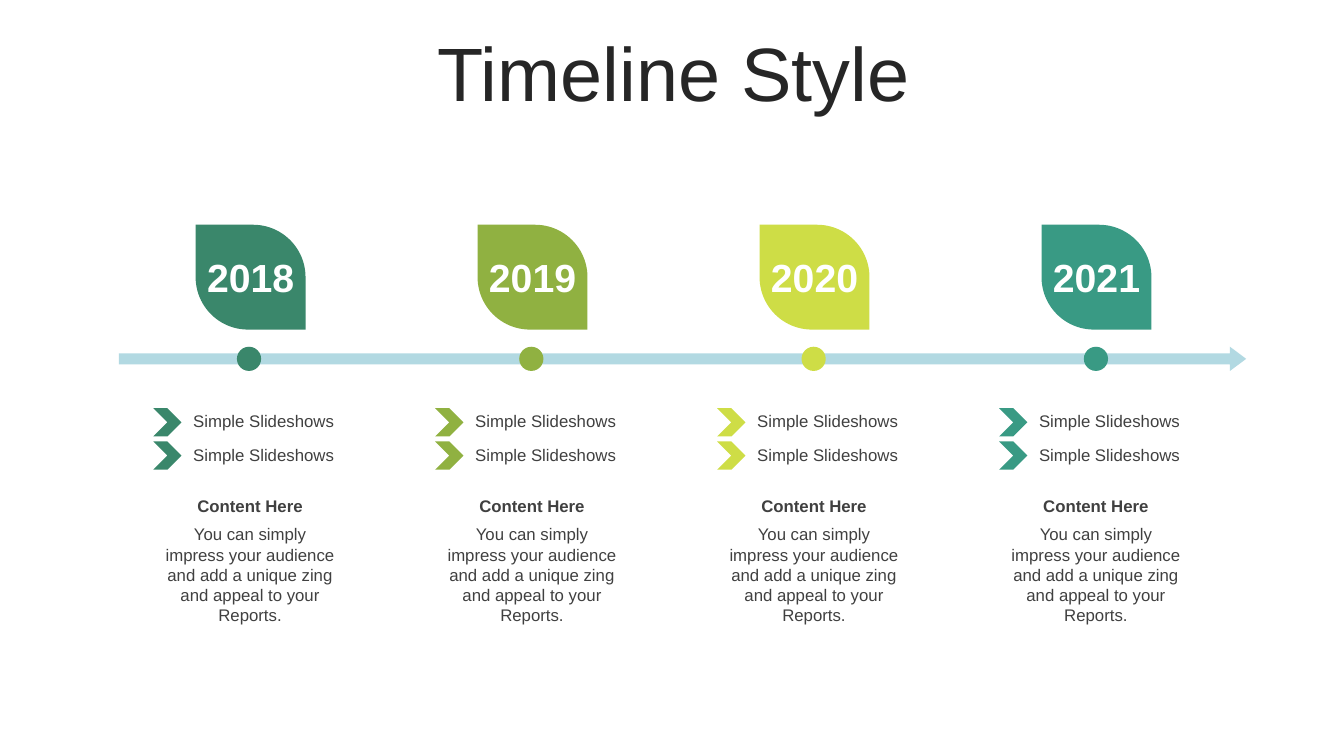
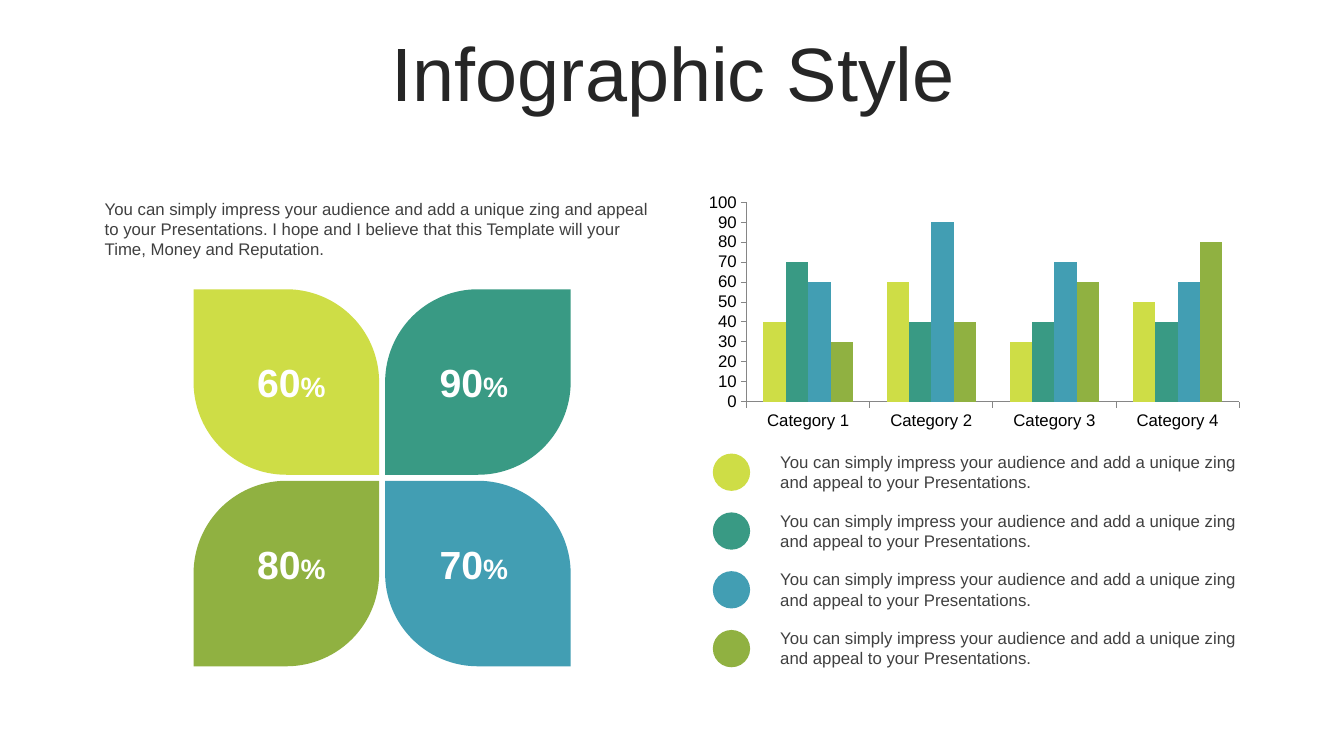
from dataclasses import dataclass

from pptx import Presentation
from pptx.chart.data import CategoryChartData
from pptx.dml.color import RGBColor
from pptx.enum import chart as ec, shapes, text
from pptx.util import Inches, Pt


# Theme
@dataclass(frozen=True)
class Theme:
    font: str = "Arial"
    title: str = "262626"
    body: str = "404040"
    white: str = "FFFFFF"
    black: str = "000000"
    axis: str = "868686"
    arrow: str = "B2D9E2"
    forest: str = "3A876B"
    olive: str = "90B141"
    lime: str = "CEDD46"
    teal: str = "399A84"
    blue: str = "429EB3"
    title_pt: int = 54
    figure_pt: int = 28
    percent_pt: int = 20
    body_pt: int = 12


T = Theme()
SHAPE = shapes.MSO_SHAPE
CENTER, LEFT = text.PP_ALIGN.CENTER, text.PP_ALIGN.LEFT
TOP, MIDDLE = text.MSO_ANCHOR.TOP, text.MSO_ANCHOR.MIDDLE

# Content
YEARS = [("2018", T.forest), ("2019", T.olive), ("2020", T.lime), ("2021", T.teal)]
POINTS = ["Simple Slideshows", "Simple Slideshows"]
HEADING = "Content Here"
YEAR_TEXT = ("You can simply impress your audience and add a unique zing "
             "and appeal to your Reports.")

INTRO = ("You can simply impress your audience and add a unique zing and appeal "
         "to your Presentations. I hope and I believe that this Template will "
         "your Time, Money and Reputation.")
# Share, colour, column, row
PETALS = [("60", T.lime, 0, 0), ("90", T.teal, 1, 0),
          ("80", T.olive, 0, 1), ("70", T.blue, 1, 1)]
CATEGORIES = ["Category 1", "Category 2", "Category 3", "Category 4"]
LEGEND_TEXT = ("You can simply impress your audience and add a unique zing "
               "and appeal to your Presentations.")
SERIES = [("Series 1", T.lime, (40, 60, 30, 50)),
          ("Series 2", T.teal, (70, 40, 40, 40)),
          ("Series 3", T.blue, (60, 90, 70, 60)),
          ("Series 4", T.olive, (30, 40, 60, 80))]


# Helpers
def rgb(value):
    return RGBColor.from_string(value)


def box(x, y, w, h):
    return Inches(x), Inches(y), Inches(w), Inches(h)


def set_font(font, size, color, bold=False):
    font.name, font.size, font.bold = T.font, Pt(size), bold
    font.color.rgb = rgb(color)


def add_shape(slide, kind, at, color, adjustments=()):
    sp = slide.shapes.add_shape(kind, *box(*at))
    sp.shadow.inherit = False
    sp.fill.solid()
    sp.fill.fore_color.rgb = rgb(color)
    sp.line.fill.background()
    for i, value in enumerate(adjustments):
        sp.adjustments[i] = value
    return sp


def add_text(slide, content, at, size=T.body_pt, color=T.body, bold=False,
             align=CENTER, anchor=TOP):
    tf = slide.shapes.add_textbox(*box(*at)).text_frame
    tf.word_wrap = True
    tf.vertical_anchor = anchor
    p = tf.paragraphs[0]
    p.text, p.alignment = content, align
    set_font(p.font, size, color, bold)
    return p


def add_slide(prs, title):
    slide = prs.slides.add_slide(prs.slide_layouts.get_by_name("Title Only"))
    sp = slide.shapes.title
    sp.left, sp.top, sp.width, sp.height = box(0.35, 0.37, 12.66, 0.79)
    tf = sp.text_frame
    tf.text = title
    tf.auto_size = text.MSO_AUTO_SIZE.NONE
    tf.vertical_anchor = MIDDLE
    p = tf.paragraphs[0]
    p.alignment, p.line_spacing = CENTER, 0.9
    set_font(p.font, T.title_pt, T.title)
    return slide


# Timeline slide
def build_timeline(prs):
    slide = add_slide(prs, "Timeline Style")
    column_pitch, dot_pitch, point_pitch = 8.39 / 3, 2.8, 0.33
    add_shape(slide, SHAPE.RIGHT_ARROW, (1.18, 3.44, 11.18, 0.24), T.arrow,
              (0.45, 0.67))
    for i, (year, color) in enumerate(YEARS):
        x = i * column_pitch
        # Year leaf and its dot on the arrow
        leaf = add_shape(slide, SHAPE.ROUND_2_DIAG_RECTANGLE,
                         (1.94 + x, 2.23, 1.09, 1.04), color, (0, 0.5))
        tf = leaf.text_frame
        tf.word_wrap = False
        tf.vertical_anchor = MIDDLE
        p = tf.paragraphs[0]
        p.text, p.alignment = year, CENTER
        set_font(p.font, T.figure_pt, T.white, True)
        add_shape(slide, SHAPE.OVAL, (2.35 + i * dot_pitch, 3.44, 0.24, 0.24), color)
        # Points marked by chevrons
        for j, point in enumerate(POINTS):
            y = j * point_pitch
            add_shape(slide, SHAPE.CHEVRON, (1.52 + x, 4.05 + y, 0.28, 0.28), color)
            add_text(slide, point, (1.79 + x, 4.03 + y, 1.65, 0.3))
        # Heading and description
        add_text(slide, HEADING, (1.54 + x, 4.87, 1.88, 0.3), bold=True, anchor=MIDDLE)
        add_text(slide, YEAR_TEXT, (1.54 + x, 5.15, 1.88, 1.11))


# Infographic slide
def add_column_chart(slide):
    data = CategoryChartData()
    data.categories = CATEGORIES
    for name, _, values in SERIES:
        data.add_series(name, values)
    chart = slide.shapes.add_chart(ec.XL_CHART_TYPE.COLUMN_CLUSTERED,
                                   *box(6.92, 1.87, 5.48, 2.44), data).chart
    chart.has_legend = chart.has_title = False
    set_font(chart.font, T.body_pt, T.black)
    plot = chart.plots[0]
    plot.gap_width, plot.overlap, plot.vary_by_categories = 150, 0, False
    for series, (_, color, _) in zip(plot.series, SERIES):
        series.format.fill.solid()
        series.format.fill.fore_color.rgb = rgb(color)
    for axis in (chart.category_axis, chart.value_axis):
        axis.has_major_gridlines = False
        axis.major_tick_mark = ec.XL_TICK_MARK.OUTSIDE
        axis.format.line.color.rgb = rgb(T.axis)
        axis.format.line.width = Pt(0.75)
    axis = chart.value_axis
    axis.minimum_scale, axis.maximum_scale, axis.major_unit = 0, 100, 10


def build_infographic(prs):
    slide = add_slide(prs, "Infographic Style")
    add_text(slide, INTRO, (0.94, 1.92, 5.73, 0.71), align=LEFT)
    # Four petals, each with a square corner at the centre
    petal_pitch, label_pitch = 1.9, 1.81
    for share, color, col, row in PETALS:
        rounding = (0, 0.5) if col == row else (0.5, 0)
        add_shape(slide, SHAPE.ROUND_2_DIAG_RECTANGLE,
                  (1.92 + col * petal_pitch, 2.87 + row * petal_pitch, 1.84, 1.84),
                  color, rounding)
        p = add_text(slide, share,
                     (2.38 + col * label_pitch, 3.5 + row * label_pitch, 1.02, 0.57),
                     T.figure_pt, T.white, True, anchor=MIDDLE)
        r = p.add_run()
        r.text, r.font.size = "%", Pt(T.percent_pt)
    add_column_chart(slide)
    # Key to the chart colours
    key_pitch = 1.75 / 3
    for i, (_, color, _) in enumerate(SERIES):
        y = i * key_pitch
        add_shape(slide, SHAPE.OVAL, (7.07, 4.5 + y, 0.37, 0.37), color)
        add_text(slide, LEGEND_TEXT, (7.64, 4.43 + y, 4.79, 0.5), align=LEFT)


def main():
    prs = Presentation()
    prs.slide_width, prs.slide_height = Inches(13.33), Inches(7.5)
    build_timeline(prs)
    build_infographic(prs)
    prs.save("out.pptx")


if __name__ == "__main__":
    main()
